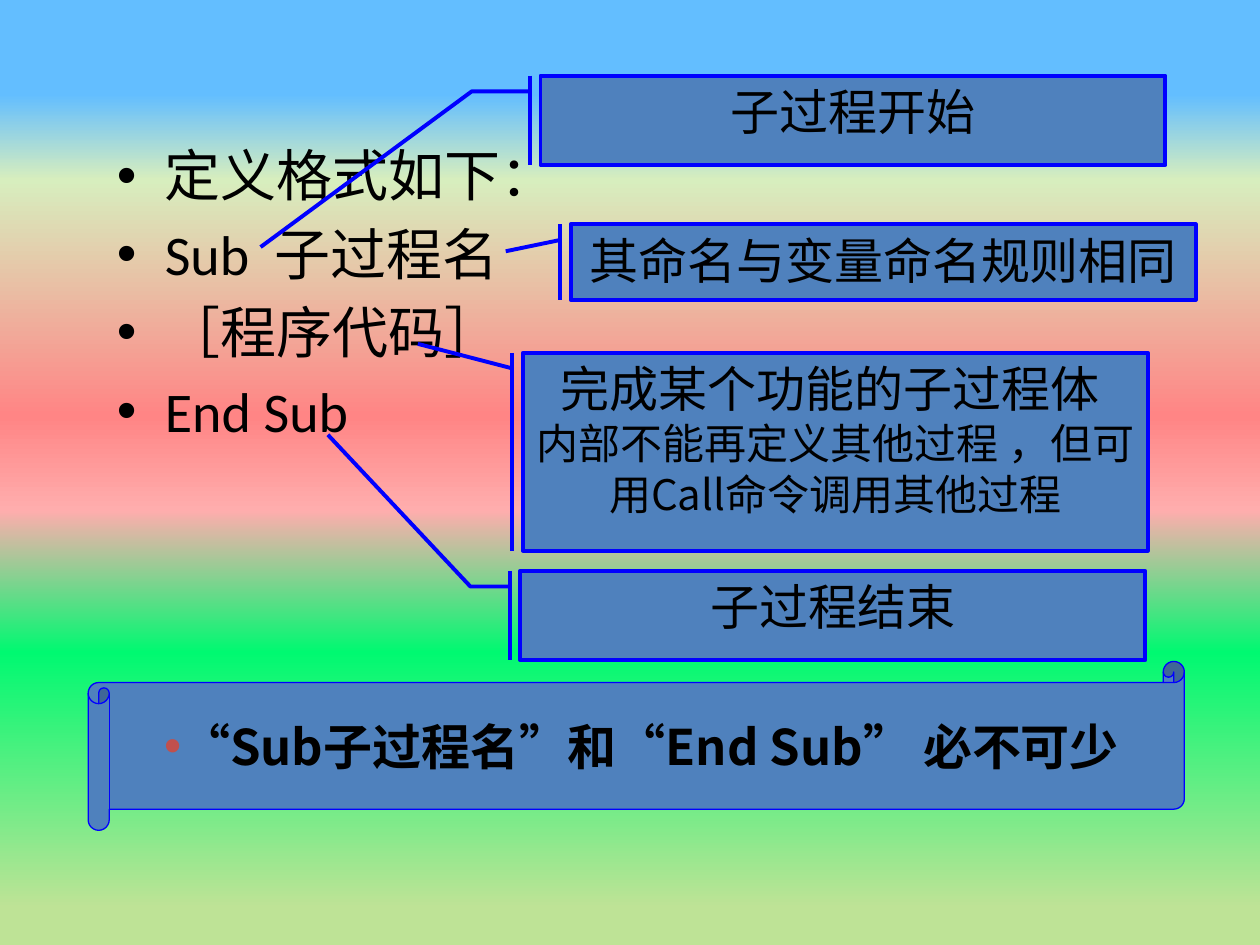
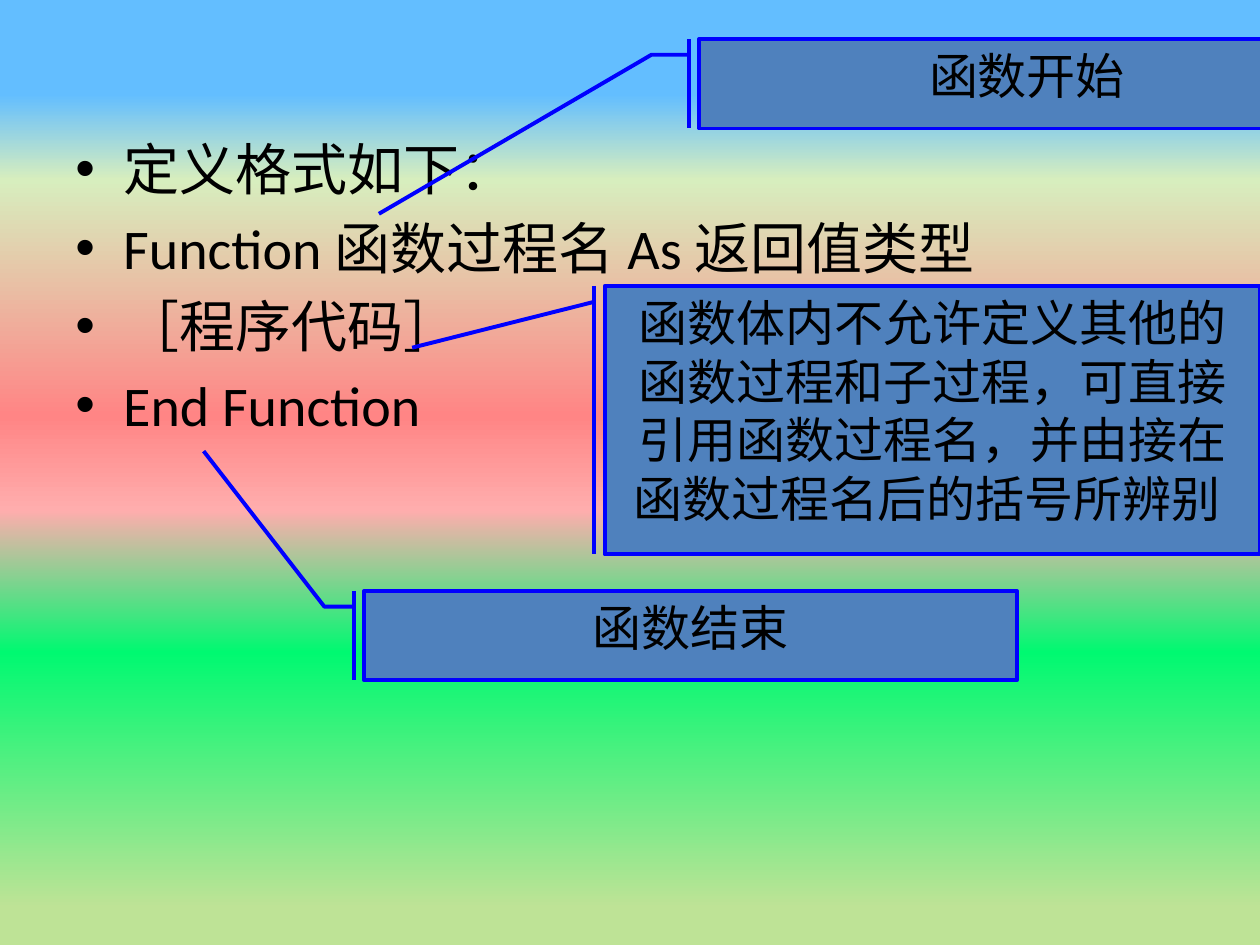
"""Two slides that explain how sub procedures and functions are declared."""
from lxml import etree
from pptx import Presentation
from pptx import util as u
from pptx.dml.color import RGBColor
from pptx.enum import shapes, text
from pptx.oxml.ns import qn

COLORS = {"text": "000000", "box": "4F81BD", "line": "0000FF", "accent": "C0504D"}
LATIN, CHINESE = "Calibri", "Noto Sans CJK SC"
BODY_SIZE, NOTE_SIZE, DETAIL_SIZE = 32, 28, 24
BULLET_INDENT = 0.38
BACKGROUND = [
    (10, "63BEFF", 76), (19, "D7EEBE", 100), (44, "FF8585", 100),
    (54, "FFADAD", 100), (69, "00F971", 43), (96, "BEE396", 100),
]
CALLOUTS = {
    "straight": shapes.MSO_SHAPE.LINE_CALLOUT_1_BORDER_AND_ACCENT_BAR,
    "bent": shapes.MSO_SHAPE.LINE_CALLOUT_2_BORDER_AND_ACCENT_BAR,
}

SLIDES = [
    {
        "body_box": (0.83, 1.07, 8.67, 5.63),
        "body": ["定义格式如下：", "Sub  子过程名", "［程序代码］", "End Sub"],
        "callouts": [
            ("straight", (4.53, 1.78, 4.96, 0.6), (0.209, -0.017, 0.358, -0.104),
             [("其命名与变量命名规则相同", NOTE_SIZE, LATIN)]),
            ("bent", (4.29, 0.6, 4.96, 0.71), (0.176, -0.017, 0.176, -0.11, 1.917, -0.448),
             [("子过程开始", NOTE_SIZE, LATIN)]),
            ("bent", (4.13, 4.53, 4.96, 0.71), (0.176, -0.017, 0.176, -0.08, -1.521, -0.308),
             [("子过程结束", NOTE_SIZE, LATIN)]),
            ("straight", (4.15, 2.8, 4.96, 1.57), (0.079, -0.017, -0.045, -0.168),
             [("完成某个功能的子过程体 ", NOTE_SIZE, LATIN),
              ("内部不能再定义其他过程 ，但可用Call命令调用其他过程", DETAIL_SIZE, CHINESE)]),
        ],
        "scroll": ["“", "Sub子过程名", "”", "和", "“", "End Sub", "” ", "必不可少"],
    },
    {
        "body_box": (0.5, 1.02, 9, 5.78),
        "body": ["定义格式如下：", "Function 函数过程名 As 返回值类型", "［程序代码］", "End Function"],
        "callouts": [
            ("bent", (5.55, 0.31, 5.2, 0.71), (0.176, -0.016, 0.176, -0.073, 1.954, -0.489),
             [("函数开始", NOTE_SIZE, LATIN)]),
            ("bent", (2.89, 4.69, 5.18, 0.71), (0.176, -0.016, 0.176, -0.061, -1.564, -0.246),
             [("函数结束", NOTE_SIZE, LATIN)]),
            ("straight", (4.8, 2.27, 5.2, 2.13), (0.059, -0.016, 0.23, -0.294),
             [("函数体内不允许定义其他的函数过程和子过程，可直接引用函数过程名，"
               "并由接在函数过程名后的括号所辨别 ", NOTE_SIZE, LATIN)]),
        ],
    },
]
SCROLL_BOX = (0.7, 5.25, 8.7, 1.34)


def inches(box):
    return [u.Inches(length) for length in box]


def set_background(master):
    fill = master.background.fill
    fill.gradient()
    fill.gradient_angle = 270
    stops = next(master.element.iter(qn("a:gsLst")))
    for stop in list(stops):
        stops.remove(stop)
    for position, color, opacity in BACKGROUND:
        stop = etree.SubElement(stops, qn("a:gs"), pos=str(position * 1000))
        value = etree.SubElement(stop, qn("a:srgbClr"), val=color)
        if opacity < 100:
            etree.SubElement(value, qn("a:alpha"), val=str(opacity * 1000))


def add_run(paragraph, words, size, font_name, bold=False):
    run = paragraph.add_run()
    run.text = words
    font = run.font
    font.size, font.name, font.bold = u.Pt(size), font_name, bold
    font.color.rgb = RGBColor.from_string(COLORS["text"])
    latin = font._element.find(qn("a:latin"))
    latin.addnext(etree.Element(qn("a:ea"), typeface=CHINESE))


def add_bullet(paragraph, size, indent=0, color=None):
    paragraph.space_before = u.Pt(size * 0.2)
    properties = paragraph._p.get_or_add_pPr()
    properties.set("marL", str(u.Inches(indent)))
    properties.set("indent", str(-u.Inches(indent)))
    if color:
        holder = etree.SubElement(properties, qn("a:buClr"))
        etree.SubElement(holder, qn("a:srgbClr"), val=color)
    etree.SubElement(properties, qn("a:buFont"), typeface="Arial")
    etree.SubElement(properties, qn("a:buChar"), char="•")


def paragraphs_for(frame, items):
    for index, item in enumerate(items):
        yield (frame.add_paragraph() if index else frame.paragraphs[0]), item


def add_body(slide, box, lines):
    frame = slide.shapes.add_textbox(*inches(box)).text_frame
    frame.word_wrap = True
    for paragraph, line in paragraphs_for(frame, lines):
        add_bullet(paragraph, BODY_SIZE, BULLET_INDENT)
        add_run(paragraph, line, BODY_SIZE, LATIN)


def add_box(slide, preset, box, adjustments, line_width):
    shape = slide.shapes.add_shape(preset, *inches(box))
    for index, value in enumerate(adjustments):
        shape.adjustments[index] = value
    shape.shadow.inherit = False
    shape.fill.solid()
    shape.fill.fore_color.rgb = RGBColor.from_string(COLORS["box"])
    shape.line.color.rgb = RGBColor.from_string(COLORS["line"])
    shape.line.width = u.Pt(line_width)
    return shape.text_frame


def add_callout(slide, kind, box, adjustments, lines):
    frame = add_box(slide, CALLOUTS[kind], box, adjustments, 2.25)
    frame.word_wrap = True
    frame.vertical_anchor = text.MSO_ANCHOR.TOP
    for paragraph, (words, size, font_name) in paragraphs_for(frame, lines):
        paragraph.alignment = text.PP_ALIGN.CENTER
        add_run(paragraph, words, size, font_name)


def add_scroll(slide, pieces):
    frame = add_box(slide, shapes.MSO_SHAPE.HORIZONTAL_SCROLL, SCROLL_BOX, [0.125], 0.75)
    frame.word_wrap = False
    frame.vertical_anchor = text.MSO_ANCHOR.MIDDLE
    paragraph = frame.paragraphs[0]
    paragraph.alignment = text.PP_ALIGN.CENTER
    add_bullet(paragraph, NOTE_SIZE, color=COLORS["accent"])
    for piece in pieces:
        is_quote = piece.strip() in "“”"
        add_run(paragraph, piece, NOTE_SIZE, LATIN if is_quote else CHINESE, bold=True)


def main():
    presentation = Presentation()
    presentation.slide_width, presentation.slide_height = inches((10, 7.5))
    set_background(presentation.slide_master)
    for content in SLIDES:
        slide = presentation.slides.add_slide(presentation.slide_layouts[6])
        add_body(slide, content["body_box"], content["body"])
        for callout in content["callouts"]:
            add_callout(slide, *callout)
        if "scroll" in content:
            add_scroll(slide, content["scroll"])
    presentation.save("out.pptx")


if __name__ == "__main__":
    main()
